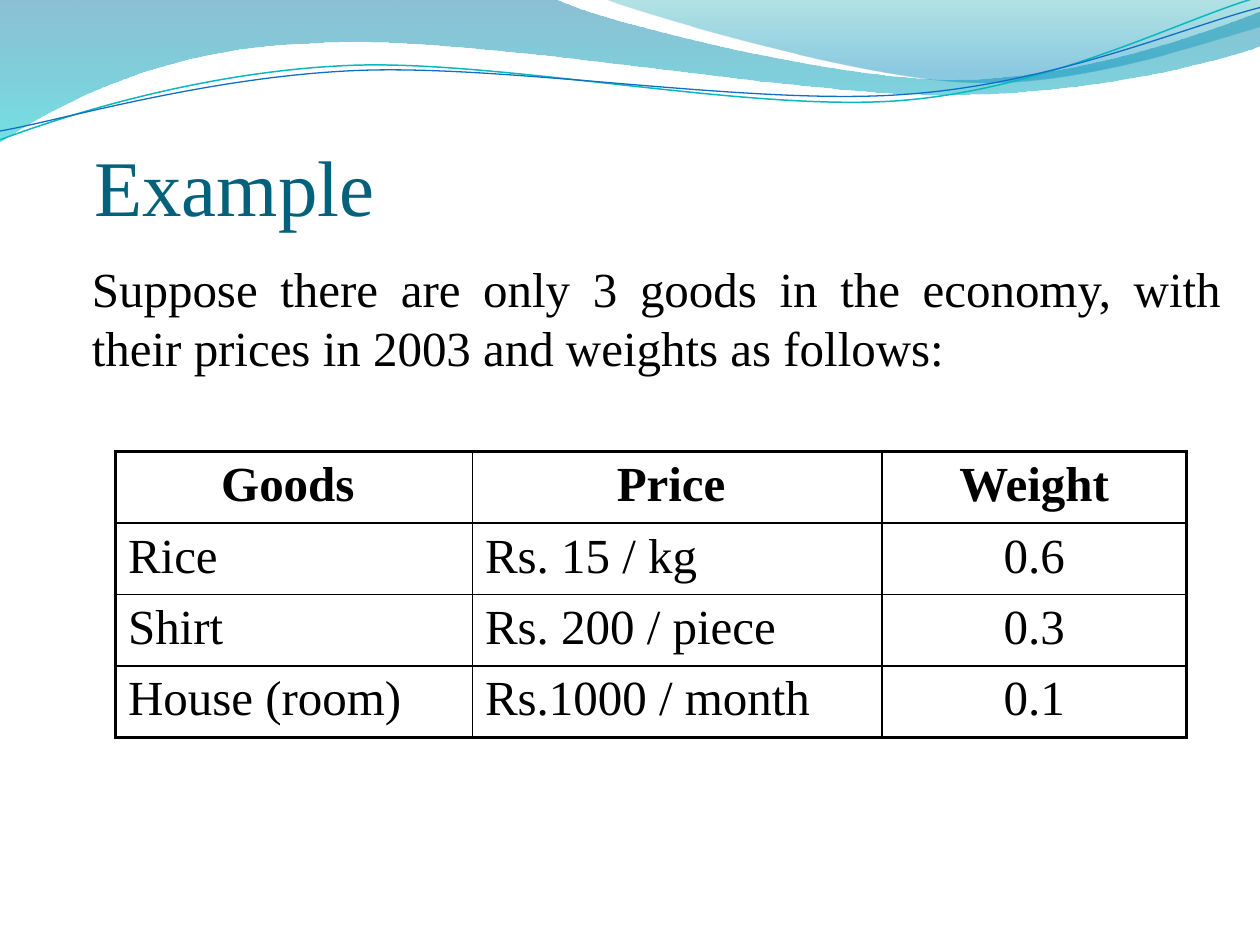
from lxml.etree import SubElement as Sub
from pptx import Presentation
from pptx.dml.color import RGBColor
from pptx.enum.text import MSO_ANCHOR as Anchor, PP_ALIGN as Align
from pptx.oxml.ns import qn
from pptx.util import Inches, Pt

WIDE, HIGH = 10, 7.5
UNIT = WIDE / 120  # the table's grid, twelve units to the inch
FINE = 1000  # outline steps to the inch
FONT = "Times New Roman"
BLACK = RGBColor(0, 0, 0)
TEAL = RGBColor(0x04, 0x61, 0x7B)
DEEP = RGBColor(0x00, 0x74, 0xA1)
CYAN = RGBColor(0x00, 0xC6, 0xCF)
SEA = RGBColor(0x00, 0xA1, 0xA9)
SKY = RGBColor(0x00, 0x8B, 0xBF)
AQUA = RGBColor(0x0A, 0xB8, 0xBF)
BLUE = RGBColor(0x0F, 0x6F, 0xC6)

# A step of two numbers is a line, one of six is a curve.
BAND = [(0, 0), (4.4, -0.01), (4.76, 0.17, 6.64, 0.63, 7.58, 0.63),
        (8.53, 0.63, 9.58, 0.26, 10, 0.09), (10.01, 0.36),
        (9.83, 0.44, 8.7, 0.76, 7.46, 0.75),
        (6.22, 0.75, 3.82, 0.28, 2.57, 0.34),
        (1.29, 0.36, 0.46, 0.83, -0.01, 1.13), (0, 0)]
CREST = [(4.79, -0.01), (5.09, 0.11, 6.82, 0.62, 7.69, 0.65),
         (8.56, 0.69, 9.61, 0.32, 10, 0.21), (10, 0), (4.79, -0.01)]
UPPER = [(0, 1.11), (0.48, 0.93, 1.58, 0.57, 2.77, 0.52),
         (3.95, 0.47, 5.93, 0.89, 7.13, 0.8),
         (8.33, 0.71, 9.38, 0.15, 9.98, -0.02)]
LOWER = [(0, 1.04), (0.47, 0.96, 1.64, 0.61, 2.83, 0.56),
         (4.03, 0.51, 5.97, 0.84, 7.17, 0.75),
         (8.36, 0.67, 9.41, 0.21, 10, 0.06)]

COLS = [34, 39, 29]
ROW = 6.8
ROWS = [("Goods ", "Price ", "Weight"),
        ("Rice", "Rs. 15 / kg", "0.6"),
        ("Shirt", "Rs. 200 / piece", "0.3"),
        ("House (room)", "Rs.1000 / month", "0.1")]


def outline(slide, steps, close):
    """Lay all points as lines, then join each curve's three into one."""
    dots = [(x * FINE, y * FINE) for step in steps
            for x, y in zip(step[::2], step[1::2])]
    pen = slide.shapes.build_freeform(*dots[0], scale=Inches(1) / FINE)
    pen.add_line_segments(dots[1:], close=close)
    shape = pen.convert_to_shape()
    shape.shadow.inherit = False
    lines = iter(list(shape._element.spPr.iter(qn("a:lnTo"))))
    for step in steps[1:]:
        line = next(lines)
        if len(step) == 6:
            line.tag = qn("a:cubicBezTo")
            for _ in range(2):
                spare = next(lines)
                line.append(spare[0])
                spare.getparent().remove(spare)
    return shape


def wave(slide, steps, stops):
    """Draw a filled wave; each stop is place, colour and opacity."""
    shape = outline(slide, steps, True)
    shape.line.fill.background()
    shape.fill.gradient()
    shape.fill.gradient_angle = 270
    for stop, (place, color, _) in zip(shape.fill.gradient_stops, stops):
        stop.position = place
        stop.color.rgb = color
    tags = shape._element.spPr.iter(qn("a:srgbClr"))
    for tag, (_, _, alpha) in zip(tags, stops):
        Sub(tag, qn("a:alpha"), val=str(alpha * 1000))


def strand(slide, steps, color, width):
    shape = outline(slide, steps, False)
    shape.fill.background()
    shape.line.color.rgb = color
    shape.line.width = Pt(width)


def write(para, words, size=28, color=BLACK, bold=False, align=Align.LEFT):
    para.alignment = align
    run = para.add_run()
    run.text = words
    look = {"name": FONT, "size": Pt(size), "bold": bold}
    for key, val in look.items():
        setattr(run.font, key, val)
    run.font.color.rgb = color


def label(slide, box, words, frame, **look):
    text = slide.shapes.add_textbox(*map(Inches, box)).text_frame
    for key, val in {"word_wrap": True, **frame}.items():
        setattr(text, key, val)
    write(text.paragraphs[0], words, **look)


def border(cell, widths):
    props = cell._tc.get_or_add_tcPr()
    for side, width in zip("LRTB", widths):
        line = Sub(props, qn(f"a:ln{side}"), w=str(Pt(width)))
        fill = Sub(line, qn("a:solidFill"))
        Sub(fill, qn("a:srgbClr"), val=str(BLACK))


def grid(slide, left, top):
    high, wide = len(ROWS), len(COLS)
    size = [Inches(n * UNIT) for n in (left, top, sum(COLS), ROW * high)]
    table = slide.shapes.add_table(high, wide, *size).table
    table.first_row = table.horz_banding = False
    for col, width in zip(table.columns, COLS):
        col.width = Inches(width * UNIT)
    for r, row in enumerate(ROWS):
        for c, words in enumerate(row):
            cell = table.cell(r, c)
            edges = (c == 0, c == wide - 1, r == 0, r == high - 1)
            border(cell, [2.25 if edge else 1 for edge in edges])
            cell.fill.background()
            mid = r == 0 or c == wide - 1
            write(cell.text_frame.paragraphs[0], words, bold=r == 0,
                  align=Align.CENTER if mid else Align.LEFT)


def main():
    deck = Presentation()
    deck.slide_width, deck.slide_height = Inches(WIDE), Inches(HIGH)
    slide = deck.slides.add_slide(deck.slide_layouts[6])
    wave(slide, BAND, [(0, DEEP, 45), (1, CYAN, 55)])
    wave(slide, CREST, [(0, SEA, 30), (0.8, SKY, 45)])
    strand(slide, UPPER, AQUA, 0.85)
    strand(slide, LOWER, BLUE, 0.75)
    label(slide, (0.75, 1, 8.25, 0.84), "Example",
          {"vertical_anchor": Anchor.BOTTOM, "margin_left": 0,
           "margin_right": 0, "margin_bottom": 0}, size=45, color=TEAL)
    label(slide, (0.33, 2, 9.46, 1.25),
          "Suppose there are only 3 goods in the economy, with "
          "their prices in 2003 and weights as follows:",
          {"margin_left": Inches(0.4)}, align=Align.JUSTIFY)
    grid(slide, 11, 43)
    deck.save("out.pptx")


if __name__ == "__main__":
    main()
